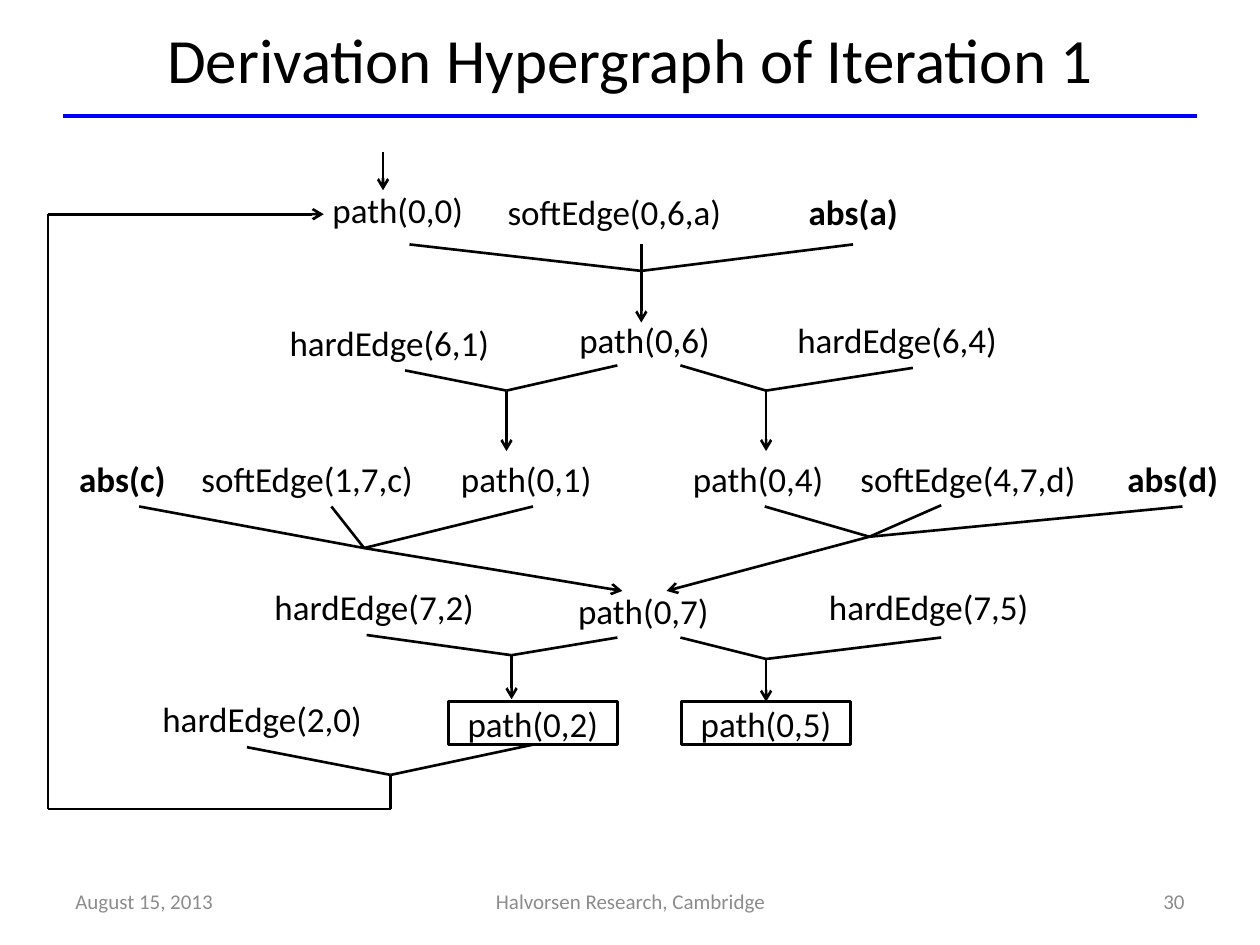
from dataclasses import dataclass

from lxml import etree
from pptx import Presentation
from pptx import util as u
from pptx.dml.color import RGBColor
from pptx.enum import shapes, text
from pptx.oxml import ns


@dataclass(frozen=True)
class Theme:
    font: str = "Calibri"
    ink: RGBColor = RGBColor(0x00, 0x00, 0x00)
    rule: RGBColor = RGBColor(0x00, 0x00, 0xFF)
    muted: RGBColor = RGBColor(0x8C, 0x8C, 0x8C)
    title_size: float = 36
    node_size: float = 20
    footer_size: float = 12
    edge_width: float = 1.5
    rule_width: float = 2.25


theme = Theme()
LEFT, CENTER, RIGHT = text.PP_ALIGN.LEFT, text.PP_ALIGN.CENTER, text.PP_ALIGN.RIGHT
TOP_SIDE, BOTTOM_SIDE = 0, 2


def write(box, words, size, color, align, anchor, bold=False):
    frame = box.text_frame
    frame.word_wrap = True
    frame.auto_size = text.MSO_AUTO_SIZE.NONE
    frame.vertical_anchor = anchor
    para = frame.paragraphs[0]
    para.alignment = align
    span = para.add_run()
    span.text = words
    span.font.name = theme.font
    span.font.size = u.Pt(size)
    span.font.bold = bold
    span.font.color.rgb = color


def connect(start, end, color=theme.ink, width=theme.edge_width, arrow=False):
    points = [(0, 0) if isinstance(spot, str) else spot for spot in (start, end)]
    line = page.shapes.add_connector(
        shapes.MSO_CONNECTOR.STRAIGHT, *[u.Inches(value) for point in points for value in point]
    )
    if isinstance(start, str):
        line.begin_connect(nodes[start], BOTTOM_SIDE)
    if isinstance(end, str):
        line.end_connect(nodes[end], TOP_SIDE)
    line.line.color.rgb = color
    line.line.width = u.Pt(width)
    if arrow:
        etree.SubElement(line.line._get_or_add_ln(), ns.qn("a:tailEnd"), type="arrow")
    etree.SubElement(line._element.spPr, ns.qn("a:effectLst"))


deck = Presentation()
deck.slide_width, deck.slide_height = u.Inches(10), u.Inches(7.5)
page = deck.slides.add_slide(deck.slide_layouts[5])

title = page.shapes.title
title.left, title.top = u.Inches(0.5), u.Inches(0)
title.width, title.height = u.Inches(9), u.Inches(0.92)
write(title, "Derivation Hypergraph of Iteration 1", theme.title_size, theme.ink,
      CENTER, text.MSO_ANCHOR.MIDDLE)
connect((0.5, 0.92), (9.5, 0.92), theme.rule, theme.rule_width)

footers = [
    (0.5, 2.33, "August 15, 2013", LEFT),
    (3.42, 3.17, "Halvorsen Research, Cambridge", CENTER),
    (7.17, 2.33, "30", RIGHT),
]
for left, width, words, align in footers:
    box = page.shapes.add_textbox(u.Inches(left), u.Inches(6.95), u.Inches(width), u.Inches(0.4))
    write(box, words, theme.footer_size, theme.muted, align, text.MSO_ANCHOR.MIDDLE)

facts = [
    ("path(0,0)", 2.54, 1.45, 1.34),
    ("softEdge(0,6,a)", 3.93, 1.46, 2.26),
    ("abs(a)", 6.32, 1.46, 1.03),
    ("hardEdge(6,1)", 2.2, 2.5, 2.03),
    ("path(0,6)", 4.5, 2.48, 1.34),
    ("hardEdge(6,4)", 6.23, 2.48, 2.03),
    ("abs(c)", 0.53, 3.58, 1.15),
    ("softEdge(1,7,c)", 1.5, 3.58, 2.26),
    ("path(0,1)", 3.56, 3.58, 1.34),
    ("path(0,4)", 5.4, 3.58, 1.34),
    ("softEdge(4,7,d)", 6.73, 3.58, 2.27),
    ("abs(d)", 8.85, 3.58, 1.07),
    ("hardEdge(7,2)", 2.08, 4.6, 1.98),
    ("path(0,7)", 4.49, 4.63, 1.34),
    ("hardEdge(7,5)", 6.48, 4.6, 1.99),
    ("hardEdge(2,0)", 1.19, 5.49, 2.02),
]
nodes = {}
for name, left, top, width in facts:
    box = page.shapes.add_textbox(u.Inches(left), u.Inches(top), u.Inches(width), u.Inches(0.44))
    write(box, name, theme.node_size, theme.ink, LEFT, text.MSO_ANCHOR.TOP,
          name.startswith("abs"))
    nodes[name] = box

for name, left in [("path(0,2)", 3.56), ("path(0,5)", 5.41)]:
    box = page.shapes.add_shape(
        shapes.MSO_SHAPE.RECTANGLE, u.Inches(left), u.Inches(5.57), u.Inches(1.34), u.Inches(0.34)
    )
    box.shadow.inherit = False
    box.fill.background()
    box.line.color.rgb = theme.ink
    box.line.width = u.Pt(theme.edge_width)
    box.text_frame.margin_top = box.text_frame.margin_bottom = 0
    write(box, name, theme.node_size, theme.ink, CENTER, text.MSO_ANCHOR.MIDDLE)
    nodes[name] = box

derivations = [
    ([(3.25, 1.94), (5.09, 1.94), (6.77, 1.94)], (5.09, 2.15), (5.09, 2.56)),
    (["hardEdge(6,1)", (4.9, 2.9)], (4.02, 3.1), (4.02, 3.58)),
    ([(5.4, 2.9), "hardEdge(6,4)"], (6.08, 3.1), (6.08, 3.58)),
    (["abs(c)", "softEdge(1,7,c)", "path(0,1)"], (2.89, 4.35), (4.94, 4.69)),
    (["path(0,4)", (7.47, 4.01), "abs(d)"], (6.9, 4.26), (5.29, 4.69)),
    ([(2.91, 5.04), (4.9, 5.06)], (4.06, 5.2), (4.06, 5.55)),
    ([(5.4, 5.06), (7.47, 5.06)], (6.08, 5.23), "path(0,5)"),
]
for sources, hub, target in derivations:
    for source in sources:
        connect(source, hub)
    connect(hub, target, arrow=True)

connect((3.04, 1.21), (3.04, 1.51), arrow=True)

loop = [(3.1, 6.15), (3.1, 6.42), (0.38, 6.42), (0.38, 1.7), (2.57, 1.7)]
for source in [(1.96, 5.93), "path(0,2)"]:
    connect(source, loop[0])
for start, end in zip(loop, loop[1:]):
    connect(start, end, arrow=end == loop[-1])

deck.save("out.pptx")
